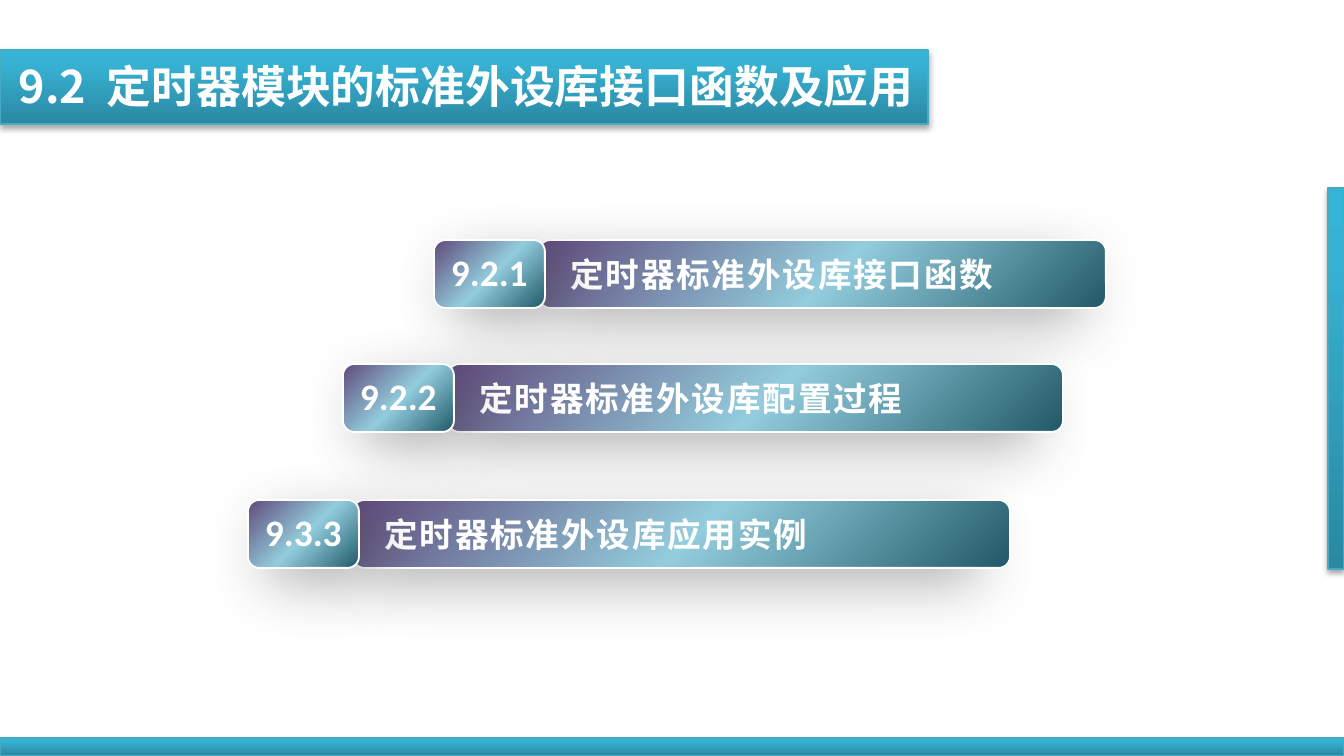
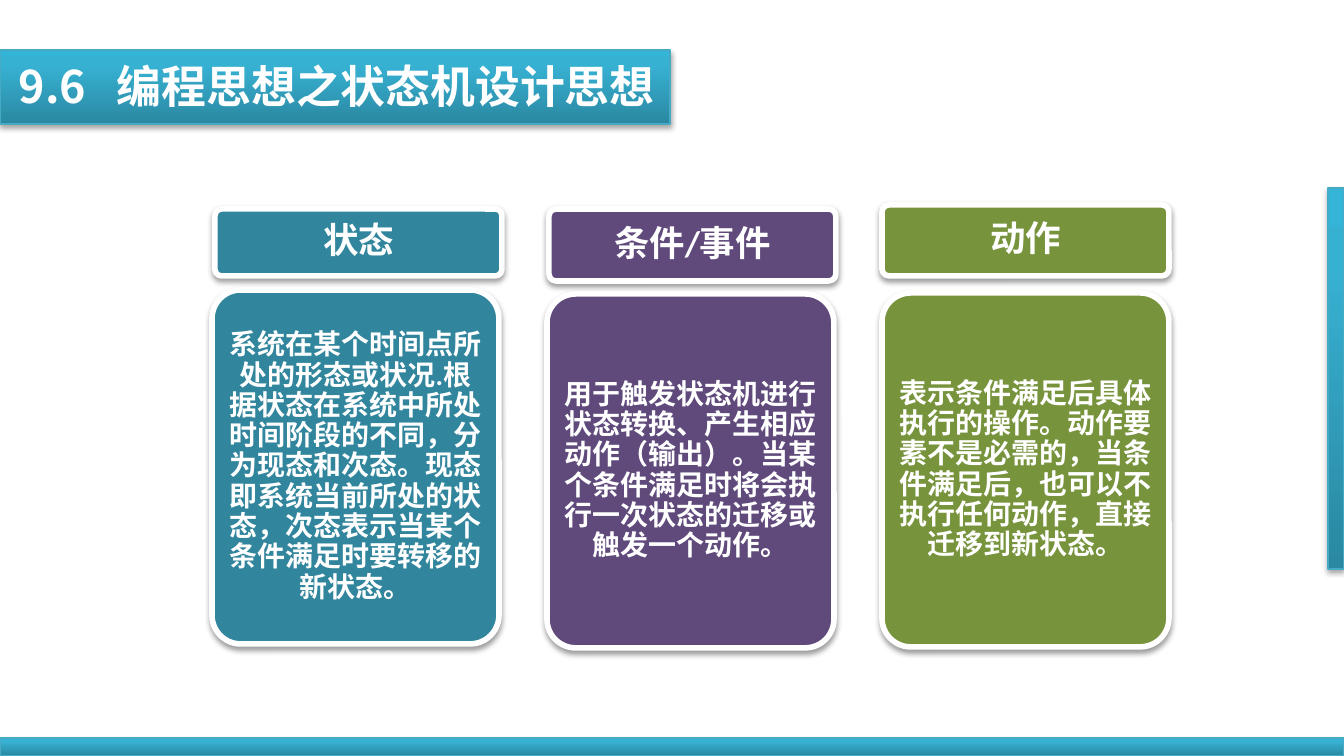
import lxml.etree
import pptx
import pptx.dml.color
import pptx.enum.shapes
import pptx.enum.text
import pptx.oxml.ns
import pptx.util

PX = 914400 / 134.4
SLIDE_W, SLIDE_H = 1344, 756

RGB = pptx.dml.color.RGBColor
WHITE = RGB(0xFF, 0xFF, 0xFF)
BLACK = RGB(0x00, 0x00, 0x00)
GREY = RGB(0x40, 0x40, 0x40)
BAND_LINE = RGB(0x46, 0xAA, 0xC5)
BAND_DARK = RGB(0x2A, 0x88, 0xA2)
BAND_MID = RGB(0x37, 0xB1, 0xD2)
BAND_LIGHT = RGB(0x34, 0xB4, 0xD6)
TEAL = RGB(0x31, 0x85, 0x9C)
PURPLE = RGB(0x60, 0x4A, 0x7B)
GREEN = RGB(0x77, 0x93, 0x3C)
SKY = RGB(0x93, 0xCD, 0xDD)
DEEP_TEAL = RGB(0x21, 0x59, 0x68)

BODY_FONT = "Calibri"
TITLE_FONT = "Noto Sans CJK SC"
RECT = pptx.enum.shapes.MSO_SHAPE.RECTANGLE
ROUNDED = pptx.enum.shapes.MSO_SHAPE.ROUNDED_RECTANGLE
LEFT = pptx.enum.text.PP_ALIGN.LEFT
CENTER = pptx.enum.text.PP_ALIGN.CENTER

BAND_STYLE = dict(
    fill=([(0, BAND_DARK), (80, BAND_MID), (100, BAND_LIGHT)], 270),
    line=(BAND_LINE, 0.75), shadow=(BLACK, 35, 3.1, 1.8, 90))
ROW_STYLE = dict(
    fill=([(0, PURPLE), (52, SKY), (100, DEEP_TEAL)], 45),
    line=(WHITE, 1), shadow=(GREY, 40, 33, 15, 45, 92))
CARD_STYLE = dict(line=(WHITE, 3), shadow=(BLACK, 38, 3.1, 1.6, 90), corner=0.1)

AGENDA = [
    ((434, 240, 672, 68), "9.2.1", "定时器标准外设库接口函数"),
    ((343, 364, 720, 68), "9.2.2", "定时器标准外设库配置过程"),
    ((248, 500, 762, 68), "9.3.3", "定时器标准外设库应用实例"),
]
CARDS = [
    ((215, 209, 287, 67), (212, 290, 287, 354), TEAL, "状态",
     "系统在某个时间点所处的形态或状况.根据状态在系统中所处时间阶段的不同，"
     "分为现态和次态。现态即系统当前所处的状态，次态表示当某个条件满足时要转移的新状态。"),
    ((549, 209, 287, 72), (547, 294, 287, 354), PURPLE, "条件/事件",
     "用于触发状态机进行状态转换、产生相应动作（输出）。"
     "当某个条件满足时将会执行一次状态的迁移或触发一个动作。"),
    ((882, 205, 287, 71), (882, 293, 287, 354), GREEN, "动作",
     "表示条件满足后具体执行的操作。动作要素不是必需的，"
     "当条件满足后，也可以不执行任何动作，直接迁移到新状态。"),
]


def px(length):
    return round(length * PX)


def add_child(parent, tag, **attributes):
    child = lxml.etree.SubElement(parent, pptx.oxml.ns.qn(tag))
    for key, value in attributes.items():
        child.set(key, str(value))
    return child


def set_gradient(shape, stops, angle):
    shape.fill.gradient()
    shape.fill.gradient_angle = (360 - angle) % 360
    stop_list = shape.element.spPr.find(".//" + pptx.oxml.ns.qn("a:gsLst"))
    for old_stop in list(stop_list):
        stop_list.remove(old_stop)
    for position, color in stops:
        stop = add_child(stop_list, "a:gs", pos=position * 1000)
        add_child(stop, "a:srgbClr", val=color)


def set_shadow(shape, color, opacity, blur, distance, angle, scale=100):
    shape.shadow.inherit = False
    effects = shape.element.spPr.find(pptx.oxml.ns.qn("a:effectLst"))
    outer = add_child(effects, "a:outerShdw", blurRad=pptx.util.Pt(blur),
                      dist=pptx.util.Pt(distance), dir=angle * 60000,
                      sx=scale * 1000, sy=scale * 1000, algn="tl", rotWithShape=0)
    tone = add_child(outer, "a:srgbClr", val=color)
    add_child(tone, "a:alpha", val=opacity * 1000)


def add_block(slide, kind, box, fill, line, shadow, corner=None):
    block = slide.shapes.add_shape(kind, *map(px, box))
    if isinstance(fill, RGB):
        block.fill.solid()
        block.fill.fore_color.rgb = fill
    else:
        set_gradient(block, *fill)
    block.line.color.rgb = line[0]
    block.line.width = pptx.util.Pt(line[1])
    set_shadow(block, *shadow)
    if corner is not None:
        block.adjustments[0] = corner
    return block


def write_text(shape, text, size, font=BODY_FONT, align=CENTER, insets=(0, 0, 0, 0),
               line_spacing=None, tracking=None, tab=None):
    frame = shape.text_frame
    frame.word_wrap = True
    frame.auto_size = pptx.enum.text.MSO_AUTO_SIZE.NONE
    frame.vertical_anchor = pptx.enum.text.MSO_ANCHOR.MIDDLE
    (frame.margin_left, frame.margin_top,
     frame.margin_right, frame.margin_bottom) = map(px, insets)
    paragraph = frame.paragraphs[0]
    if tab is not None:
        tabs = add_child(paragraph._p.get_or_add_pPr(), "a:tabLst")
        add_child(tabs, "a:tab", pos=px(tab), algn="l")
    paragraph.alignment = align
    if line_spacing is not None:
        paragraph.line_spacing = line_spacing
    run = paragraph.add_run()
    run.text = text
    run.font.size = pptx.util.Pt(size)
    run.font.bold = True
    run.font.color.rgb = WHITE
    run.font.name = font
    properties = run._r.get_or_add_rPr()
    add_child(properties, "a:ea", typeface=font)
    if tracking is not None:
        properties.set("spc", str(tracking * 100))


def add_layout_bands(layout, slide):
    for placeholder in list(layout.placeholders):
        if placeholder.placeholder_format.idx != 0:
            layout.shapes.element.remove(placeholder.element)
    for box in [(0, 738, SLIDE_W, 18), (1328, 188, 16, 381)]:
        band = add_block(slide, RECT, box, **BAND_STYLE)
        layout.shapes.element.append(band.element)


def add_title(slide, box, number, heading, tab):
    left, top, width, height = box
    title = slide.shapes.title
    banner = add_block(slide, RECT, box, **BAND_STYLE)
    title.element.addprevious(banner.element)
    title.left, title.top = px(left + 5), px(top + 2)
    title.width, title.height = px(width - 5), px(height - 7)
    write_text(title, f"{number}\t{heading}", 24, font=TITLE_FONT, align=LEFT,
               insets=(14, 0, 0, 0), tab=tab)


def add_agenda_row(slide, box, number, heading):
    left, top, width, height = box
    bar_offset, badge_width = 105, 111
    bar = add_block(slide, ROUNDED, (left + bar_offset, top, width - bar_offset, height),
                    **ROW_STYLE)
    write_text(bar, heading, 18, align=LEFT, insets=(28, 0, 0, 0), tracking=1)
    badge = add_block(slide, ROUNDED, (left, top, badge_width, height), **ROW_STYLE)
    write_text(badge, number, 20, insets=(0, 0, 0, 5))


def add_card(slide, header_box, body_box, color, heading, description):
    header = add_block(slide, ROUNDED, header_box, fill=color, **CARD_STYLE)
    write_text(header, heading, 19, insets=(11, 9, 11, 9), line_spacing=0.9)
    body = add_block(slide, ROUNDED, body_box, fill=color, **CARD_STYLE)
    write_text(body, description, 15, insets=(8, 8, 8, 8), line_spacing=0.9)


def build_agenda(slide):
    add_title(slide, (0, 50, 928, 74), "9.2", "定时器模块的标准外设库接口函数及应用", 88)
    for row in AGENDA:
        add_agenda_row(slide, *row)


def build_state_machine(slide):
    add_title(slide, (0, 50, 670, 74), "9.6", "编程思想之状态机设计思想", 98)
    for card in CARDS:
        add_card(slide, *card)


def main():
    deck = pptx.Presentation()
    deck.slide_width, deck.slide_height = px(SLIDE_W), px(SLIDE_H)
    layout = deck.slide_layouts[5]
    agenda = deck.slides.add_slide(layout)
    add_layout_bands(layout, agenda)
    build_agenda(agenda)
    build_state_machine(deck.slides.add_slide(layout))
    deck.save("out.pptx")


if __name__ == "__main__":
    main()
